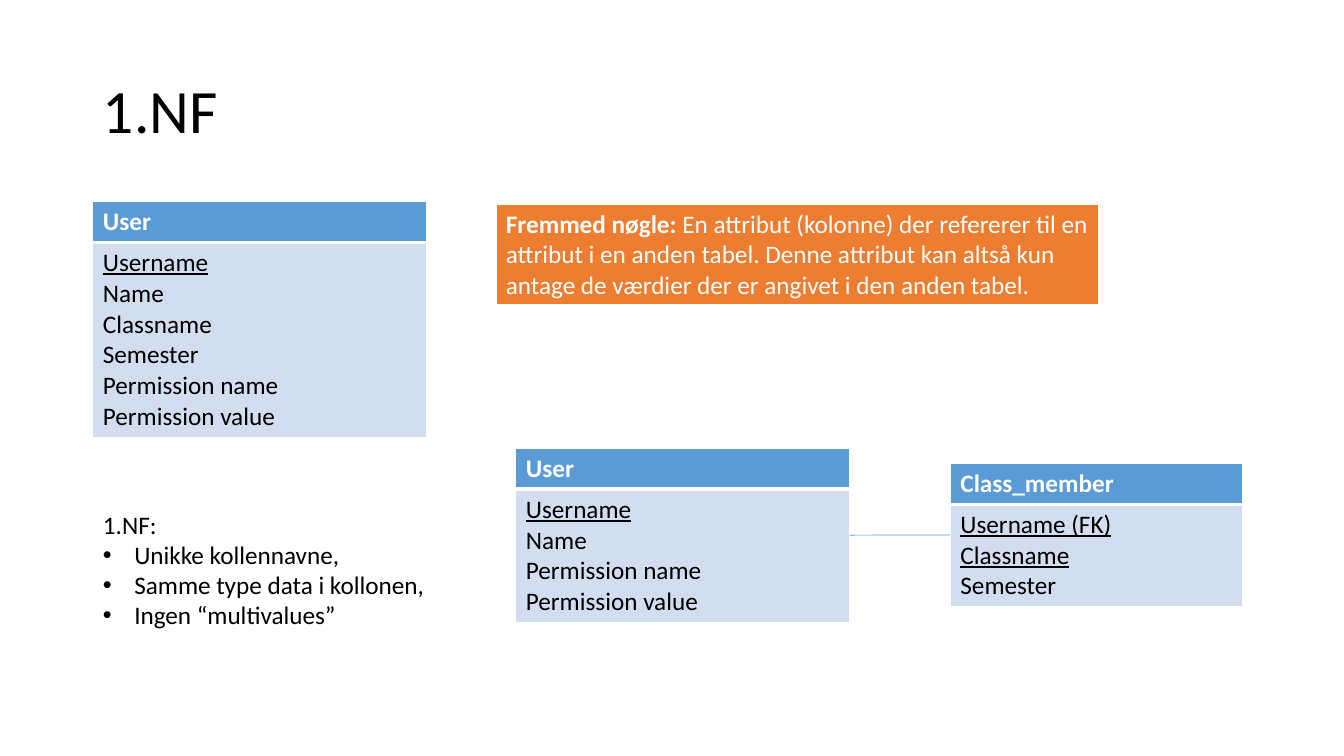
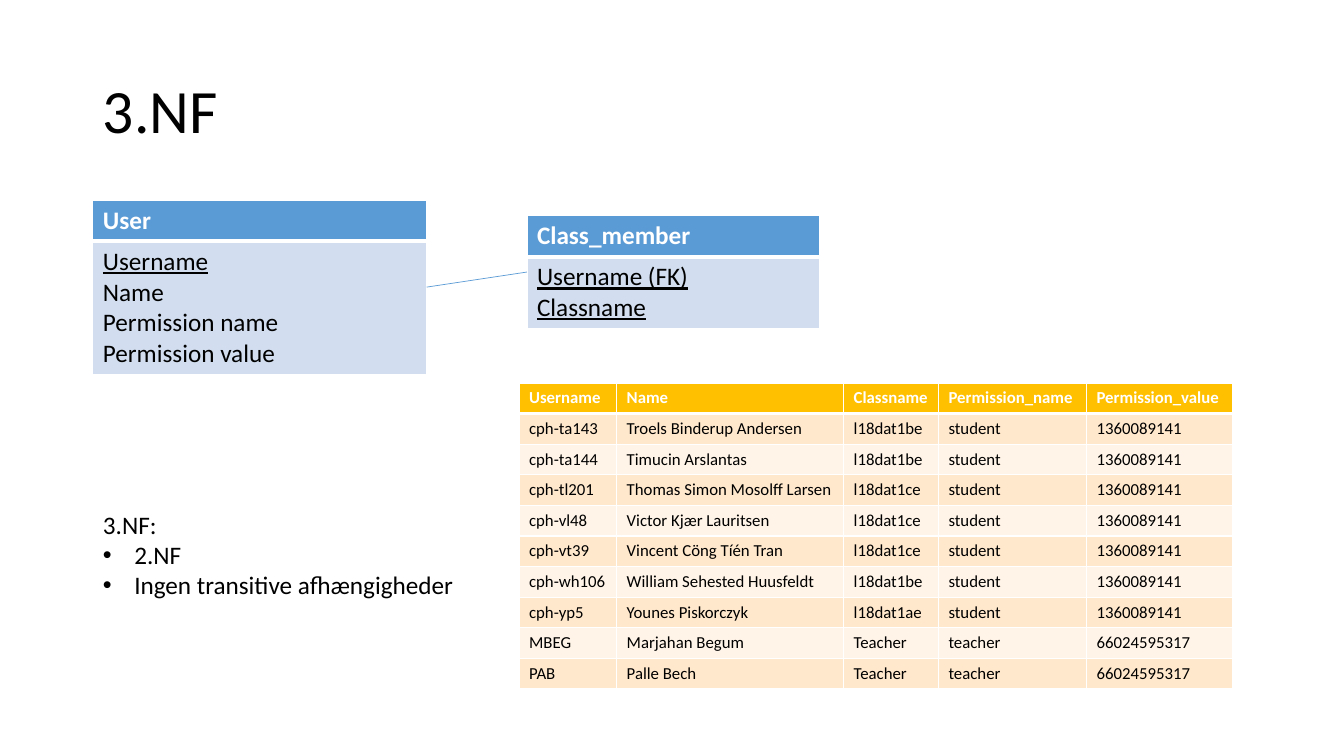
from lxml import etree
from pptx import Presentation
from pptx.dml.color import RGBColor
from pptx.enum.shapes import MSO_CONNECTOR, MSO_SHAPE
from pptx.enum.text import MSO_ANCHOR, MSO_AUTO_SIZE, PP_ALIGN
from pptx.oxml.ns import qn
from pptx.util import Cm, Pt

LEFT = PP_ALIGN.LEFT
TOP, MIDDLE = MSO_ANCHOR.TOP, MSO_ANCHOR.MIDDLE
NO_FIT = MSO_AUTO_SIZE.NONE
STRAIGHT = MSO_CONNECTOR.STRAIGHT
RECTANGLE = MSO_SHAPE.RECTANGLE

COLORS = {
    "black": "000000", "white": "FFFFFF",
    "blue": "5B9BD5", "pale_blue": "D2DEEF",
    "orange": "ED7D31", "gold": "FFC000",
    "peach": "FFE8CC", "cream": "FFF4E7",
}
FONT = "Calibri"
MARGIN = 2.34
LINE_HEIGHT = 0.77
PADDING = 0.26
USER_WIDTH, MEMBER_WIDTH = 8.41, 7.37


def write(para, text, size=18, color="black", bold=False, underline=False):
    span = para.add_run()
    span.text = text
    span.font.name = FONT
    span.font.size = Pt(size)
    span.font.bold = bold
    span.font.underline = underline
    span.font.color.rgb = RGBColor.from_string(COLORS[color])


def add_grid(page, left, top, widths, heights, rows, fills, size=18, keys=(), anchor=TOP):
    frame = page.shapes.add_table(len(rows), len(widths), Cm(left), Cm(top),
                                  Cm(sum(widths)), Cm(sum(heights)))
    grid = frame.table
    for column, width in zip(grid.columns, widths):
        column.width = Cm(width)
    for row_index, (row, height) in enumerate(zip(rows, heights)):
        grid.rows[row_index].height = Cm(height)
        header = row_index == 0
        fill = fills[0] if header else fills[1:][(row_index - 1) % (len(fills) - 1)]
        for column_index, lines in enumerate(row):
            cell = grid.cell(row_index, column_index)
            cell.vertical_anchor = TOP if header else anchor
            properties = cell._tc.get_or_add_tcPr()
            for side in ("lnL", "lnR", "lnT", "lnB"):
                thick = (row_index, side) in ((0, "lnB"), (1, "lnT"))
                border = etree.SubElement(properties, qn("a:" + side), w=str(Pt(3 if thick else 1)))
                paint = etree.SubElement(border, qn("a:solidFill"))
                etree.SubElement(paint, qn("a:srgbClr"), val=COLORS["white"])
            cell.fill.solid()
            cell.fill.fore_color.rgb = RGBColor.from_string(COLORS[fill])
            for line_index, line in enumerate(lines.split("\n")):
                text_frame = cell.text_frame
                para = text_frame.add_paragraph() if line_index else text_frame.paragraphs[0]
                write(para, line, size=size, color="white" if header else "black",
                      bold=header, underline=not header and line in keys)
    return frame


USER_FIELDS = ["Username", "Name", "Permission name", "Permission value"]
MEMBER_KEYS = ["Username (FK)", "Classname"]

slides = [
    {
        "title": "1.NF",
        "list": ["1.NF:", "Unikke kollennavne,", "Samme type data i kollonen,", "Ingen “multivalues”"],
        "entities": [
            (MARGIN, 5.08, USER_WIDTH, "User", ["Username"],
             ["Name", "Classname", "Semester", "Permission name", "Permission value"]),
            (13, 11.3, USER_WIDTH, "User", USER_FIELDS[:1], USER_FIELDS[1:]),
            (23.95, 11.68, MEMBER_WIDTH, "Class_member", MEMBER_KEYS, ["Semester"]),
        ],
    },
    {
        "title": "3.NF",
        "list": ["3.NF:", "2.NF", "Ingen transitive afhængigheder"],
        "entities": [
            (MARGIN, 5.05, USER_WIDTH, "User", USER_FIELDS[:1], USER_FIELDS[1:]),
            (13.28, 5.44, MEMBER_WIDTH, "Class_member", MEMBER_KEYS, []),
        ],
    },
]

deck = Presentation()
deck.slide_width, deck.slide_height = Cm(33.87), Cm(19.05)
layout = deck.slide_layouts[1]
title_place = layout.placeholders[0]
title_place.left, title_place.top = Cm(MARGIN), Cm(1.02)
title_place.width, title_place.height = Cm(29.21), Cm(3.68)

pages = []
for content in slides:
    page = deck.slides.add_slide(layout)
    pages.append(page)

    title = page.shapes.title.text_frame
    title.auto_size = NO_FIT
    title.vertical_anchor = MIDDLE
    para = title.paragraphs[0]
    para.alignment = LEFT
    para.line_spacing = 0.9
    write(para, content["title"], size=44)

    body = page.placeholders[1]
    body.left, body.top = Cm(MARGIN), Cm(12.7)
    body.width = Cm(10.77)
    body.height = Cm(LINE_HEIGHT * (len(content["list"]) + 1) + PADDING)
    body.text_frame.auto_size = NO_FIT
    for index, line in enumerate(content["list"]):
        para = body.text_frame.add_paragraph() if index else body.text_frame.paragraphs[0]
        para.space_before = Pt(0)
        properties = para._p.get_or_add_pPr()
        indent = Cm(0.79) if index else 0
        properties.set("marL", str(indent))
        properties.set("indent", str(-indent))
        if index:
            etree.SubElement(properties, qn("a:buFont"), typeface="Arial")
            etree.SubElement(properties, qn("a:buChar"), char="•")
        else:
            etree.SubElement(properties, qn("a:buNone"))
        write(para, line)

    entities = []
    for left, top, width, name, keys, fields in content["entities"]:
        lines = keys + fields
        heights = [LINE_HEIGHT * count + PADDING for count in (1, len(lines))]
        entities.append(add_grid(page, left, top, [width], heights, [[name], ["\n".join(lines)]],
                                 ["blue", "pale_blue"], keys=keys))

    user, member = entities[-2:]
    relation = page.shapes.add_connector(STRAIGHT, 0, 0, 0, 0)
    relation.begin_connect(user, 3)
    relation.end_connect(member, 1)
    relation.line.color.rgb = RGBColor.from_string(COLORS["blue"])
    relation.line.width = Pt(0.5)
    etree.SubElement(relation._element.spPr, qn("a:effectLst"))

first_page, third_page = pages

box = first_page.shapes.add_shape(RECTANGLE, Cm(12.5), Cm(5.13), Cm(15.19), Cm(2.57))
box.shadow.inherit = False
box.fill.solid()
box.fill.fore_color.rgb = RGBColor.from_string(COLORS["orange"])
box.line.color.rgb = RGBColor.from_string(COLORS["white"])
box.line.width = Pt(1.5)
box.text_frame.word_wrap = True
box.text_frame.vertical_anchor = TOP
para = box.text_frame.paragraphs[0]
para.alignment = LEFT
write(para, "Fremmed nøgle: ", color="white", bold=True)
write(para, "En attribut (kolonne) der refererer til en attribut i en anden tabel. "
            "Denne attribut kan altså kun antage de værdier der er angivet i den anden tabel.",
      color="white")

permissions = {"student": "1360089141", "teacher": "66024595317"}
people = [
    ("cph-ta143", "Troels Binderup Andersen", "l18dat1be", "student"),
    ("cph-ta144", "Timucin Arslantas", "l18dat1be", "student"),
    ("cph-tl201", "Thomas Simon Mosolff Larsen", "l18dat1ce", "student"),
    ("cph-vl48", "Victor Kjær Lauritsen", "l18dat1ce", "student"),
    ("cph-vt39", "Vincent Cöng Tíén Tran", "l18dat1ce", "student"),
    ("cph-wh106", "William Sehested Huusfeldt", "l18dat1be", "student"),
    ("cph-yp5", "Younes Piskorczyk", "l18dat1ae", "student"),
    ("MBEG", "Marjahan Begum", "Teacher", "teacher"),
    ("PAB", "Palle Bech", "Teacher", "teacher"),
]
rows = [("Username", "Name", "Classname", "Permission_name", "Permission_value")]
rows += [person + (permissions[person[-1]],) for person in people]
add_grid(third_page, 13.08, 9.65, [2.46, 5.72, 2.39, 3.73, 3.68], [0.76] * len(rows), rows,
         ["gold", "peach", "cream"], size=12, anchor=MIDDLE)

deck.save("out.pptx")
